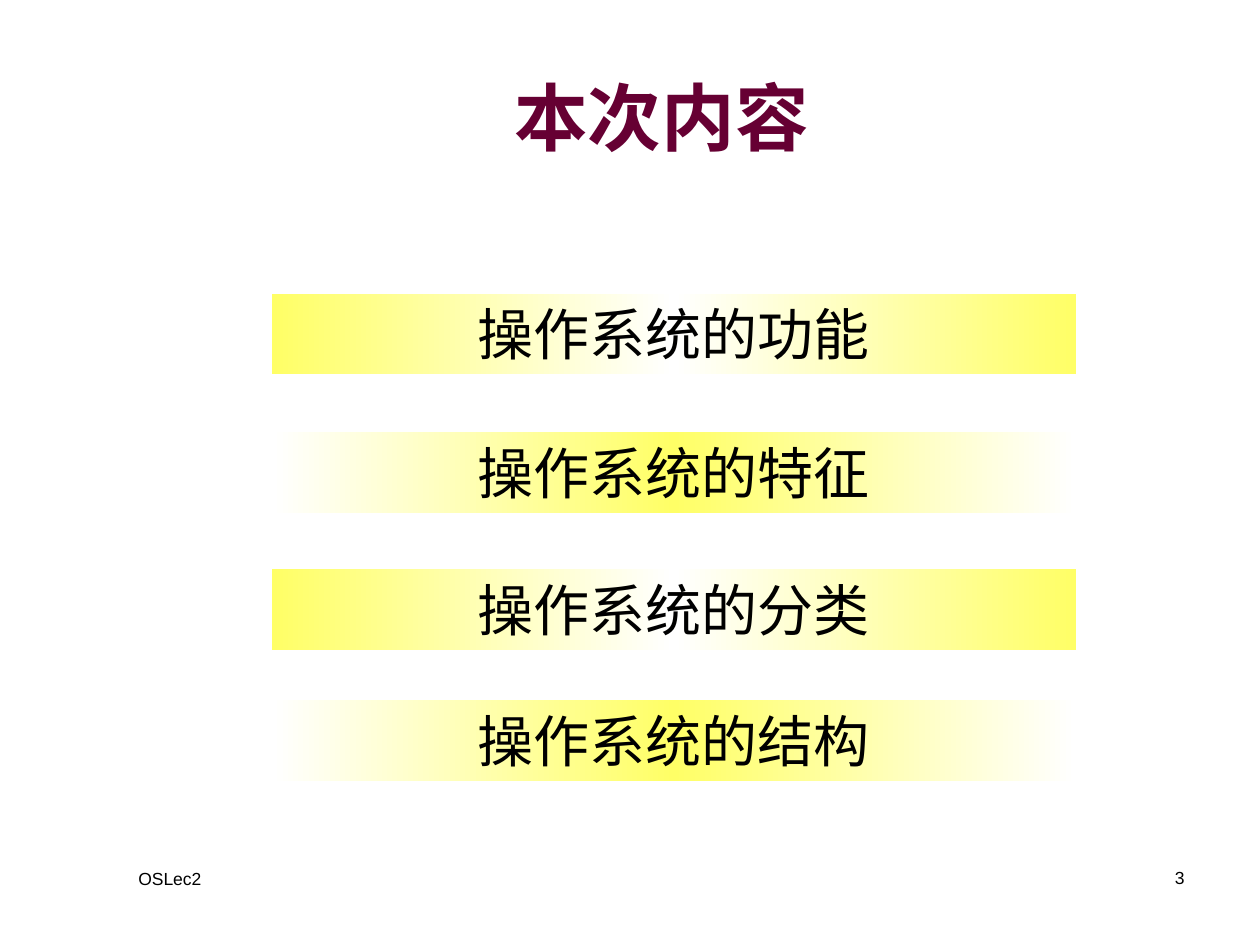
from copy import deepcopy
from dataclasses import dataclass

from pptx import Presentation
from pptx.dml.color import RGBColor
from pptx.enum.shapes import MSO_SHAPE
from pptx.enum.text import MSO_ANCHOR as Anchor, MSO_AUTO_SIZE as AutoSize, PP_ALIGN as Align
from pptx.oxml.ns import qn
from pptx.util import Inches, Pt

YELLOW, WHITE, BLACK, MAROON = "FFFF66", "FFFFFF", "000000", "660033"


@dataclass
class Topic:
    text: str
    top: float
    edge: str
    middle: str


@dataclass
class Footer:
    text: str
    left: float
    top: float
    width: float
    align: Align


TOPICS = [
    Topic("操作系统的功能", 2.33, YELLOW, WHITE),
    Topic("操作系统的特征", 3.43, WHITE, YELLOW),
    Topic("操作系统的分类", 4.52, YELLOW, WHITE),
    Topic("操作系统的结构", 5.56, WHITE, YELLOW),
]
FOOTERS = [
    Footer("OSLec2", 1, 6.84, 2.17, Align.LEFT),
    Footer("3", 7.42, 6.83, 2.08, Align.RIGHT),
]


def rgb(value: str) -> RGBColor:
    return RGBColor.from_string(value)


def write(tf, text: str, size: float, color: str, align: Align, bold: bool = False) -> None:
    tf.word_wrap = True
    p = tf.paragraphs[0]
    p.alignment = align
    r = p.add_run()
    r.text = text
    r.font.name = "Arial"
    r.font.size = Pt(size)
    r.font.bold = bold
    r.font.color.rgb = rgb(color)


def fill_gradient(sp, colors: list[str]) -> None:
    sp.fill.gradient()
    sp.fill.gradient_angle = 0
    stops = sp._element.spPr.find(qn("a:gradFill")).find(qn("a:gsLst"))
    stops.append(deepcopy(stops[0]))
    for i, (stop, color) in enumerate(zip(sp.fill.gradient_stops, colors)):
        stop.position = i / (len(colors) - 1)
        stop.color.rgb = rgb(color)


def add_topic(s, topic: Topic) -> None:
    sp = s.shapes.add_shape(MSO_SHAPE.RECTANGLE, Inches(2.16), Inches(topic.top),
                            Inches(6.38), Inches(0.64))
    sp.shadow.inherit = False
    sp.line.fill.background()
    fill_gradient(sp, [topic.edge, topic.middle, topic.edge])
    tf = sp.text_frame
    tf.vertical_anchor = Anchor.TOP
    tf.auto_size = AutoSize.SHAPE_TO_FIT_TEXT
    write(tf, topic.text, 32, BLACK, Align.CENTER)


def add_footer(s, footer: Footer) -> None:
    sp = s.shapes.add_textbox(Inches(footer.left), Inches(footer.top),
                              Inches(footer.width), Inches(0.5))
    write(sp.text_frame, footer.text, 10, BLACK, footer.align)


def add_title(s, text: str) -> None:
    sp = s.shapes.title
    sp.left, sp.top, sp.width, sp.height = Inches(1), Inches(0.3), Inches(8.5), Inches(1.25)
    sp.text_frame.vertical_anchor = Anchor.MIDDLE
    write(sp.text_frame, text, 42, MAROON, Align.CENTER, bold=True)


def main() -> None:
    prs = Presentation()
    prs.slide_width, prs.slide_height = Inches(10), Inches(7.5)
    s = prs.slides.add_slide(prs.slide_layouts[5])
    add_title(s, "本次内容")
    for topic in TOPICS:
        add_topic(s, topic)
    for footer in FOOTERS:
        add_footer(s, footer)
    prs.save("out.pptx")


if __name__ == "__main__":
    main()
